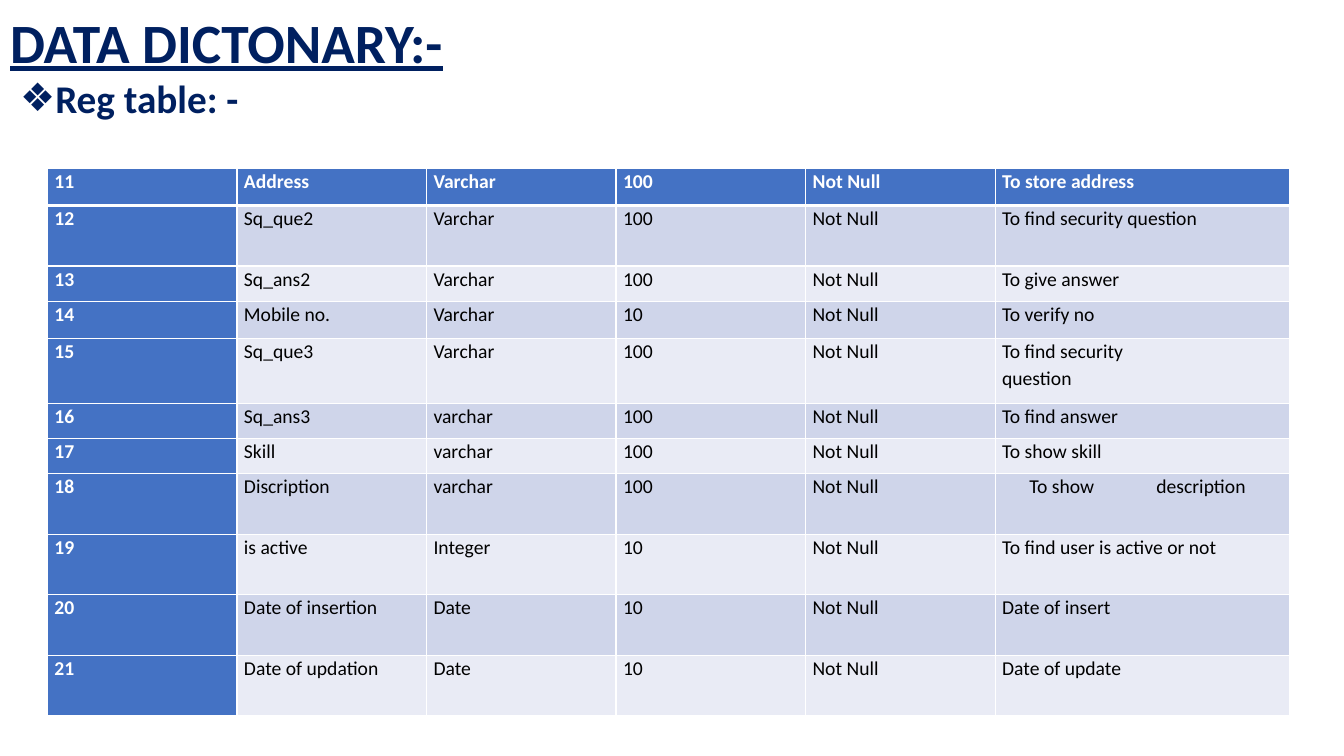
"""Build the data dictionary slide with the second part of the registration table."""
from dataclasses import dataclass

from lxml import etree
from pptx import Presentation
from pptx import util as u
from pptx.dml import color
from pptx.enum import text
from pptx.oxml import ns

NAVY, BLUE, WHITE, BLACK = "002060", "4472C4", "FFFFFF", "000000"
BANDS = ("E9EBF5", "CFD5EA")
COLUMN_WIDTHS = (1.88,) * 5 + (2.92,)
PURPOSE_TABS = (0.27, 1.53)


@dataclass(frozen=True)
class Field:
    """One row of the data dictionary."""

    number: int
    name: str
    kind: str
    size: int
    purpose: str
    height: float

    def values(self) -> tuple[str, ...]:
        """Return the texts of the row from left to right."""
        return (str(self.number), self.name, self.kind, str(self.size), "Not Null", self.purpose)


FIELDS = (
    Field(11, "Address", "Varchar", 100, "To store address", 0.37),
    Field(12, "Sq_que2", "Varchar", 100, "To find security question", 0.6),
    Field(13, "Sq_ans2", "Varchar", 100, "To give answer", 0.35),
    Field(14, "Mobile no.", "Varchar", 10, "To verify no", 0.37),
    Field(15, "Sq_que3", "Varchar", 100, "To find security\nquestion", 0.64),
    Field(16, "Sq_ans3", "varchar", 100, "To find answer", 0.35),
    Field(17, "Skill", "varchar", 100, "To show skill", 0.35),
    Field(18, "Discription", "varchar", 100, "\tTo show\tdescription", 0.6),
    Field(19, "is active", "Integer", 10, "To find user is active or not", 0.6),
    Field(20, "Date of insertion", "Date", 10, "Date of insert", 0.6),
    Field(21, "Date of updation", "Date", 10, "Date of update", 0.6),
)


def rgb(value: str) -> color.RGBColor:
    """Turn a hex string into a colour."""
    return color.RGBColor.from_string(value)


def add_child(parent, tag: str, **attributes: str):
    """Append a drawing element to its parent and return it."""
    return etree.SubElement(parent, ns.qn(tag), attributes)


def write(frame, content: str, *, size: float, ink: str, bold: bool = True,
          underline: bool = False, align=text.PP_ALIGN.LEFT, spacing: float = 0.9,
          gap: float = 0, bullet: str = "", tabs: tuple[float, ...] = ()) -> None:
    """Write one paragraph for each line of the content in the given format."""
    for index, line in enumerate(content.split("\n")):
        paragraph = frame.add_paragraph() if index else frame.paragraphs[0]
        paragraph.alignment = align
        paragraph.line_spacing = spacing
        paragraph.space_before = u.Pt(gap if index else 0)
        paragraph.space_after = u.Pt(gap)
        properties = paragraph._p.get_or_add_pPr()
        if bullet:
            properties.set("marL", str(u.Inches(0.25)))
            properties.set("indent", str(u.Inches(-0.25)))
            add_child(properties, "a:buChar", char=bullet)
        if tabs and "\t" in line:
            stops = add_child(properties, "a:tabLst")
            for stop in tabs:
                add_child(stops, "a:tab", pos=str(u.Inches(stop)), algn="l")
        run = paragraph.add_run()
        run.text = line
        run.font.name = "Calibri"
        run.font.size = u.Pt(size)
        run.font.bold = bold
        run.font.underline = underline
        run.font.color.rgb = rgb(ink)


def place(holder, left: float, top: float, width: float, height: float, anchor) -> None:
    """Move a placeholder and fix how its text sits."""
    holder.left, holder.top = u.Inches(left), u.Inches(top)
    holder.width, holder.height = u.Inches(width), u.Inches(height)
    holder.text_frame.auto_size = text.MSO_AUTO_SIZE.NONE
    holder.text_frame.vertical_anchor = anchor


def draw_borders(cell, **widths: float) -> None:
    """Give the cell white borders of the given widths in points."""
    properties = cell._tc.get_or_add_tcPr()
    for side, width in widths.items():
        line = add_child(properties, f"a:ln{side}", w=str(u.Pt(width)))
        add_child(add_child(line, "a:solidFill"), "a:srgbClr", val=WHITE)


def draw_cell(cell, content: str, row: int, column: int) -> None:
    """Format and fill one cell of the dictionary."""
    heading = row == 0 or column == 0
    cell.margin_left = cell.margin_right = u.Inches(0.07)
    cell.margin_top = cell.margin_bottom = u.Inches(0)
    draw_borders(cell, L=1, R=1, T=3 if row == 1 else 1, B=1 if row else 3)
    cell.fill.solid()
    cell.fill.fore_color.rgb = rgb(BLUE if heading else BANDS[row % 2])
    write(cell.text_frame, content, size=14, ink=WHITE if heading else BLACK, bold=heading,
          align=text.PP_ALIGN.JUSTIFY, spacing=1.07, gap=0.5, tabs=PURPOSE_TABS)


def draw_dictionary(slide) -> None:
    """Add the table of fields."""
    total = sum(field.height for field in FIELDS)
    dictionary = slide.shapes.add_table(
        len(FIELDS), len(COLUMN_WIDTHS), u.Inches(0.47), u.Inches(1.67),
        u.Inches(sum(COLUMN_WIDTHS)), u.Inches(total)).table
    for column, width in zip(dictionary.columns, COLUMN_WIDTHS):
        column.width = u.Inches(width)
    for row, field in enumerate(FIELDS):
        dictionary.rows[row].height = u.Inches(field.height)
        for column, content in enumerate(field.values()):
            draw_cell(dictionary.cell(row, column), content, row, column)


def main() -> None:
    """Build and save the slide."""
    deck = Presentation()
    deck.slide_width, deck.slide_height = u.Inches(13.33), u.Inches(7.5)
    slide = deck.slides.add_slide(deck.slide_layouts[1])
    heading, subheading = slide.shapes.title, slide.placeholders[1]
    place(heading, 0, 0.16, 12.42, 0.58, text.MSO_ANCHOR.MIDDLE)
    write(heading.text_frame, "DATA DICTONARY:-", size=39.6, ink=NAVY, underline=True)
    place(subheading, 0.1, 0.74, 12.32, 6.01, text.MSO_ANCHOR.TOP)
    write(subheading.text_frame, "Reg table: -", size=28, ink=NAVY, bullet="❖")
    draw_dictionary(slide)
    deck.save("out.pptx")


if __name__ == "__main__":
    main()
